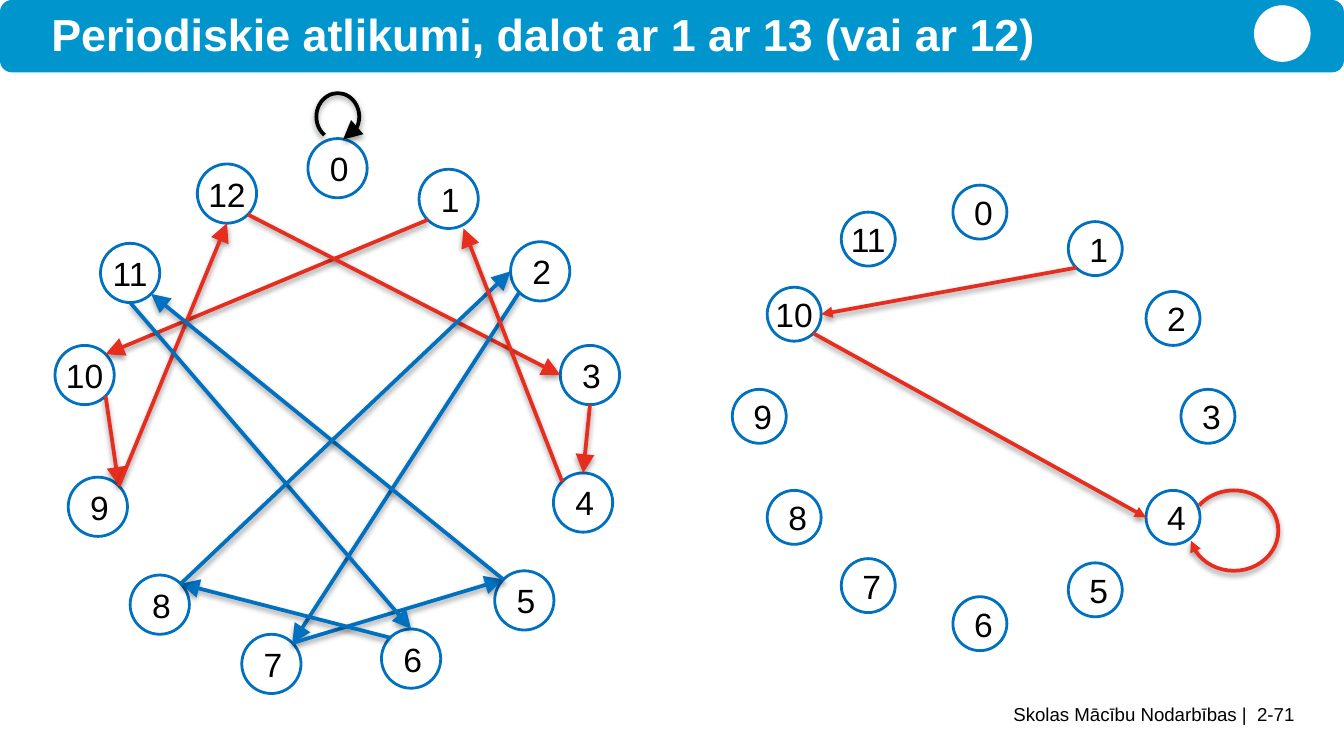
import dataclasses
import math

import pptx
import pptx.dml.color
import pptx.enum.shapes
import pptx.enum.text
import pptx.oxml
import pptx.oxml.ns
import pptx.util

Cm, Pt = pptx.util.Cm, pptx.util.Pt
SHAPE = pptx.enum.shapes.MSO_SHAPE
ALIGN = pptx.enum.text.PP_ALIGN
MIDDLE = pptx.enum.text.MSO_ANCHOR.MIDDLE
SITES = "N NE E SE S SW W NW".split()


@dataclasses.dataclass(frozen=True)
class Theme:
    font: str = "Arial"
    banner: str = "0095CD"
    blue: str = "0070C0"
    red: str = "E62D1E"
    black: str = "000000"
    white: str = "FFFFFF"
    head: int = 24
    label: int = 18
    foot: int = 10
    ring: float = 1.5
    arrow: float = 2


def rgb(code):
    return pptx.dml.color.RGBColor.from_string(code)


def write(frame, text, font, size, color, bold=False, align=ALIGN.LEFT,
          anchor=None, side=0, edge=0):
    """Set the text of a frame; side and edge are its insets in cm."""
    frame.word_wrap = True
    frame.auto_size = pptx.enum.text.MSO_AUTO_SIZE.NONE
    frame.margin_left = frame.margin_right = Cm(side)
    frame.margin_top = frame.margin_bottom = Cm(edge)
    if anchor is not None:
        frame.vertical_anchor = anchor
    line = frame.paragraphs[0]
    line.alignment = align
    run = line.add_run()
    run.text = text
    run.font.name, run.font.size, run.font.bold = font, Pt(size), bold
    run.font.color.rgb = rgb(color)


def site(center, radius, name):
    """Return the point of a circle that lies in a compass direction."""
    turn = math.radians(45 * SITES.index(name))
    return (center[0] + radius * math.sin(turn),
            center[1] - radius * math.cos(turn))


class Page:
    """Holds the theme and the current slide."""

    def __init__(self, slide, theme):
        self.slide, self.theme = slide, theme

    def shape(self, kind, box, fill=None):
        item = self.slide.shapes.add_shape(kind, *map(Cm, box))
        item.shadow.inherit = False
        if fill:
            item.fill.solid()
            item.fill.fore_color.rgb = rgb(fill)
        else:
            item.fill.background()
        item.line.fill.background()
        return item

    def title(self, text, box, below):
        item = self.slide.shapes.title
        item.left, item.top, item.width, item.height = map(Cm, box)
        below.element.addnext(item.element)
        write(item.text_frame, text, self.theme.font, self.theme.head,
              self.theme.white, bold=True, anchor=MIDDLE)

    def footer(self, text, box):
        item = self.slide.shapes.add_textbox(*map(Cm, box))
        write(item.text_frame, text, self.theme.font, self.theme.foot,
              self.theme.black, align=ALIGN.RIGHT)

    def node(self, label, center, radius):
        x, y = center
        item = self.shape(SHAPE.OVAL,
                          (x - radius, y - radius, 2 * radius, 2 * radius))
        item.line.color.rgb = rgb(self.theme.blue)
        item.line.width = Pt(self.theme.ring)
        write(item.text_frame, label, self.theme.font, self.theme.label,
              self.theme.black, align=ALIGN.CENTER, anchor=MIDDLE,
              side=0 if len(label) > 1 else 0.25, edge=0.13)

    def finish(self, item, color, tip):
        """Give an arrow its line, its head and its soft shadow."""
        item.line.color.rgb = rgb(color)
        item.line.width = Pt(self.theme.arrow)
        props = item.element.spPr
        space = pptx.oxml.ns.nsdecls("a")
        props.find(pptx.oxml.ns.qn("a:ln")).append(pptx.oxml.parse_xml(
            f'<a:tailEnd {space} type="triangle" w="{tip}" len="{tip}"/>'))
        for old in props.findall(pptx.oxml.ns.qn("a:effectLst")):
            props.remove(old)
        props.append(pptx.oxml.parse_xml(
            f'<a:effectLst {space}><a:outerShdw blurRad="{Pt(3.1)}" '
            f'dist="{Pt(1.6)}" dir="5400000" rotWithShape="0">'
            '<a:srgbClr val="000000"><a:alpha val="38000"/></a:srgbClr>'
            '</a:outerShdw></a:effectLst>'))

    def arrow(self, start, end, color, tip):
        item = self.slide.shapes.add_connector(
            pptx.enum.shapes.MSO_CONNECTOR.STRAIGHT,
            *map(Cm, (*start, *end)))
        self.finish(item, color, tip)

    def loop(self, box, color, tip, turn=0):
        item = self.shape(SHAPE.ARC, box)
        for spot, angle in enumerate((216, 166.8)):
            item.adjustments[spot] = angle * 0.6  # 60000ths over 100000
        item.rotation = turn
        self.finish(item, color, tip)

    def graph(self, nodes, radius, edges, tip):
        """Draw numbered nodes and edges of (from, site, to, site, color)."""
        for label, center in enumerate(nodes):
            self.node(str(label), center, radius)
        for first, out, last, into, color in edges:
            self.arrow(site(nodes[first], radius, out),
                       site(nodes[last], radius, into), color, tip)


def main():
    deck = pptx.Presentation()
    deck.slide_width, deck.slide_height = Cm(25.4), Cm(14.29)
    theme = Theme()
    red, blue = theme.red, theme.blue
    page = Page(deck.slides.add_slide(deck.slide_layouts[5]), theme)

    page.footer("Skolas Mācību Nodarbības |  2-71", (6.12, 13.28, 18.34, 0.84))
    banner = page.shape(SHAPE.ROUNDED_RECTANGLE, (0, 0, 25.4, 1.37),
                        theme.banner)
    page.title("Periodiskie atlikumi, dalot ar 1 ar 13 (vai ar 12)",
               (0.97, 0.1, 21, 1.07), banner)
    page.shape(SHAPE.OVAL, (23.7, 0.1, 1.07, 1.07), theme.white)

    twelve = [(18.52, 4.01), (20.7, 4.7), (22.17, 6.02), (22.83, 7.87),
              (22.17, 9.78), (20.7, 11.15), (18.52, 11.79), (16.41, 11.07),
              (15.01, 9.78), (14.35, 7.87), (15.01, 5.94), (16.41, 4.52)]
    page.graph(twelve, 0.51, [(1, "SW", 10, "E", red),
                              (10, "SE", 4, "W", red)], "med")
    page.loop((22.48, 9.27, 1.68, 1.52), red, "med")

    thirteen = [(6.38, 3.18), (8.48, 3.76), (10.21, 5.13), (11.15, 7.09),
                (11.02, 9.5), (9.91, 11.35), (7.77, 12.45), (5.13, 12.55),
                (3.02, 11.43), (1.85, 9.58), (1.6, 7.09), (2.46, 5.16),
                (4.29, 3.66)]
    page.graph(thirteen, 0.56, [
        (1, "SW", 10, "NE", red), (10, "SE", 9, "NE", red),
        (9, "NE", 12, "S", red), (12, "SE", 3, "W", red),
        (3, "S", 4, "N", red),
        (2, "SW", 7, "NE", blue), (7, "NE", 5, "NW", blue),
        (5, "NW", 11, "SE", blue), (11, "S", 6, "N", blue),
        (6, "NW", 8, "NE", blue), (8, "NE", 2, "W", blue)], "lg")
    page.arrow(site(thirteen[4], 0.56, "NW"), (8.76, 4.32), red, "lg")
    page.loop((5.94, 1.8, 0.89, 0.81), theme.black, "lg", turn=270)

    deck.save("out.pptx")


if __name__ == "__main__":
    main()
